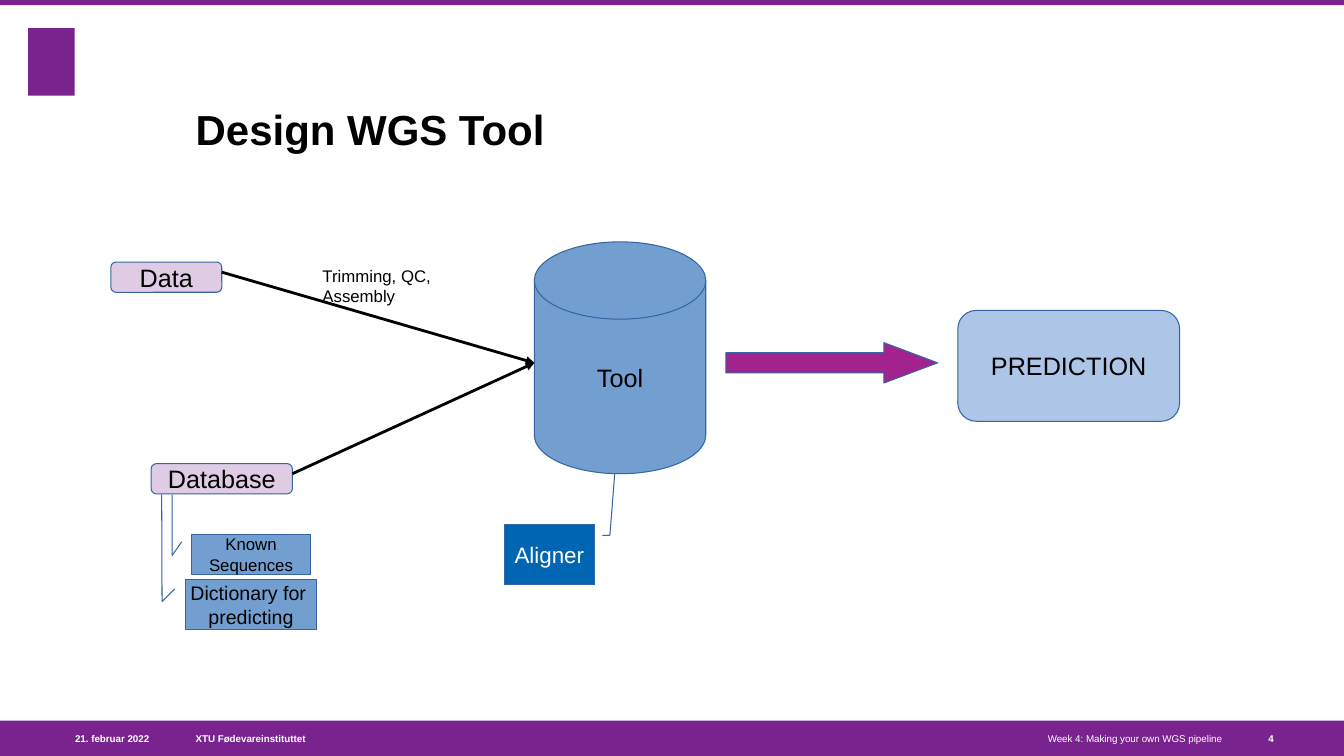
import pptx
import pptx.dml.color
import pptx.enum.shapes
import pptx.enum.text
import pptx.oxml
import pptx.oxml.ns
import pptx.util

Inches = pptx.util.Inches
Pt = pptx.util.Pt
KIND = pptx.enum.shapes.MSO_SHAPE
ALIGN = pptx.enum.text.PP_ALIGN
ANCHOR = pptx.enum.text.MSO_ANCHOR

PURPLE, EDGE, BLUE, PINK = "79238E", "3465A4", "729FCF", "DFCCE4"
BLACK, WHITE = "000000", "FFFFFF"


def tint(fmt, code):
    fmt.rgb = pptx.dml.color.RGBColor.from_string(code)


def apply(target, values):
    for name, value in values.items():
        setattr(target, name, value)


def write(shape, text, size, color, frame, para, bold=False):
    """Fill a shape with one paragraph per line of text."""
    body = shape.text_frame
    apply(body, frame)
    body.text = text
    for line in body.paragraphs:
        apply(line, para)
        apply(line.font, {"name": "Arial", "size": Pt(size), "bold": bold})
        tint(line.font.color, color)


def label(slide, place, text, size, color=BLACK, bold=False, inset=0,
          anchor=ANCHOR.MIDDLE, **para):
    box = slide.shapes.add_textbox(*map(Inches, place))
    frame = {"word_wrap": True, "vertical_anchor": anchor}
    frame.update(margin_left=Inches(inset), margin_right=Inches(inset),
                 margin_top=Inches(inset / 2), margin_bottom=Inches(inset / 2))
    write(box, text, size, color, frame, para, bold)


def block(slide, kind, place, fill, edge=EDGE, adjust=()):
    shape = slide.shapes.add_shape(kind, *map(Inches, place))
    shape.shadow.inherit = False
    shape.fill.solid()
    tint(shape.fill.fore_color, fill)
    if edge:
        tint(shape.line.color, edge)
        shape.line.width = Pt(0)
    else:
        shape.line.fill.background()
    for index, value in enumerate(adjust):
        shape.adjustments[index] = value
    return shape


def node(slide, kind, place, fill, text, size=18, color=BLACK, adjust=()):
    shape = block(slide, kind, place, fill, adjust=adjust)
    frame = {"word_wrap": False, "vertical_anchor": ANCHOR.MIDDLE}
    write(shape, text, size, color, frame, {"alignment": ALIGN.CENTER})
    return shape


def callout(slide, place, fill, text, size, bend, color=BLACK, flip=False):
    """Box with a bent leader; bend holds its last two points as y, x."""
    shape = node(slide, KIND.LINE_CALLOUT_2, place, fill, text, size, color,
                 (0.188, -0.083) + bend)
    if flip:
        shape._element.spPr.find(pptx.oxml.ns.qn("a:xfrm")).set("flipH", "1")


def arrow(slide, start, end):
    line = slide.shapes.add_connector(
        pptx.enum.shapes.MSO_CONNECTOR.STRAIGHT, *map(Inches, start + end))
    tint(line.line.color, BLACK)
    line.line.width = Pt(0)
    space = pptx.oxml.ns.nsdecls("a")
    head = pptx.oxml.parse_xml(f'<a:tailEnd {space} type="triangle"/>')
    line.line._get_or_add_ln().append(head)
    line._element.spPr.append(pptx.oxml.parse_xml(f"<a:effectLst {space}/>"))


def frame_page(slide):
    # Bars and plain emblem
    block(slide, KIND.RECTANGLE, (0.28, 0.28, 0.46, 0.67), PURPLE, None)
    block(slide, KIND.RECTANGLE, (0, 7.15, 13.33, 0.35), PURPLE, None)
    block(slide, KIND.RECTANGLE, (0, 0, 13.33, 0.05), PURPLE, None)

    # Footer
    for left, width, text, bold, side in (
            (1.94, 3.71, "XTU Fødevareinstituttet", True, ALIGN.LEFT),
            (0.27, 1.21, "21. februar 2022", True, ALIGN.RIGHT),
            (6.11, 6.01, "Week 4: Making your own WGS pipeline", False,
             ALIGN.RIGHT),
            (12.58, 0.47, "4", True, ALIGN.LEFT)):
        label(slide, (left, 7.15, width, 0.35), text, 7, WHITE, bold,
              alignment=side)

    # Title
    label(slide, (1.94, 0.47, 10.18, 1.06), "Design WGS Tool", 30, bold=True,
          anchor=ANCHOR.BOTTOM)


def draw_flow(slide):
    # Tool and its inputs
    node(slide, KIND.FLOWCHART_MAGNETIC_DISK, (5.3, 2.4, 1.7, 2.3), BLUE,
         "Tool")
    for left, top, width, text in ((1.1, 2.6, 1.1, "Data"),
                                   (1.5, 4.6, 1.4, "Database")):
        node(slide, KIND.ROUNDED_RECTANGLE, (left, top, width, 0.3), PINK,
             text)
        arrow(slide, (left + width, top + 0.1), (5.3, 3.6))
    label(slide, (3.1, 2.59, 1.6, 0.47), "Trimming, QC, Assembly", 12,
          inset=0.1, anchor=ANCHOR.TOP)

    # Output
    block(slide, KIND.RIGHT_ARROW, (7.2, 3.4, 2.1, 0.4), "A3238E",
          adjust=(0.5, 1.33))
    node(slide, KIND.ROUNDED_RECTANGLE, (9.5, 3.08, 2.2, 1.1), "ADC5E7",
         "PREDICTION")

    # Callouts
    callout(slide, (5, 5.2, 0.9, 0.6), "0066B3", "Aligner", 16,
            (0.185, -0.167, -0.833, -0.22), WHITE, flip=True)
    callout(slide, (1.9, 5.3, 1.18, 0.4), BLUE, "Known\nSequences", 12,
            (0.526, -0.163, -0.984, -0.163))
    callout(slide, (1.84, 5.75, 1.3, 0.5), BLUE,
            "Dictionary for \npredicting", 14,
            (0.436, -0.179, -1.692, -0.182))


def main():
    deck = pptx.Presentation()
    apply(deck, {"slide_width": Inches(13.33), "slide_height": Inches(7.5)})
    slide = deck.slides.add_slide(deck.slide_layouts[6])
    frame_page(slide)
    draw_flow(slide)
    deck.save("out.pptx")


if __name__ == "__main__":
    main()
